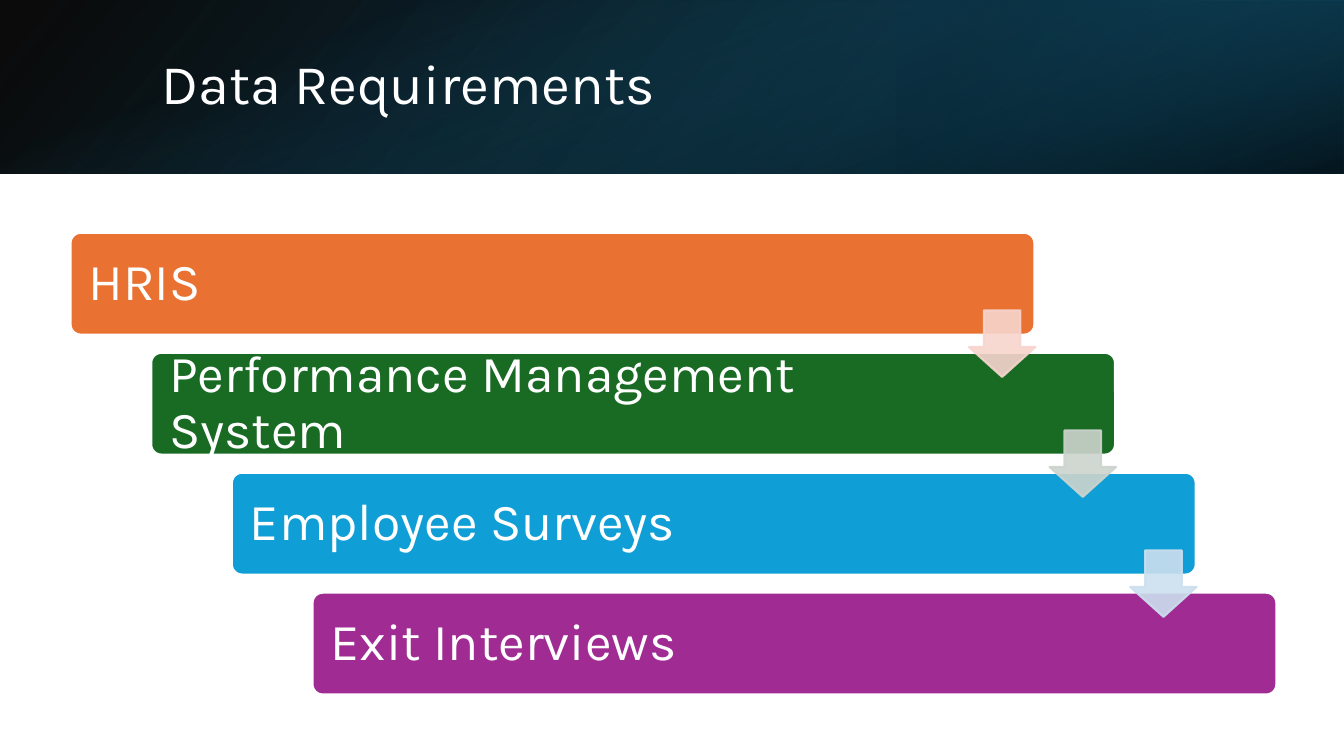
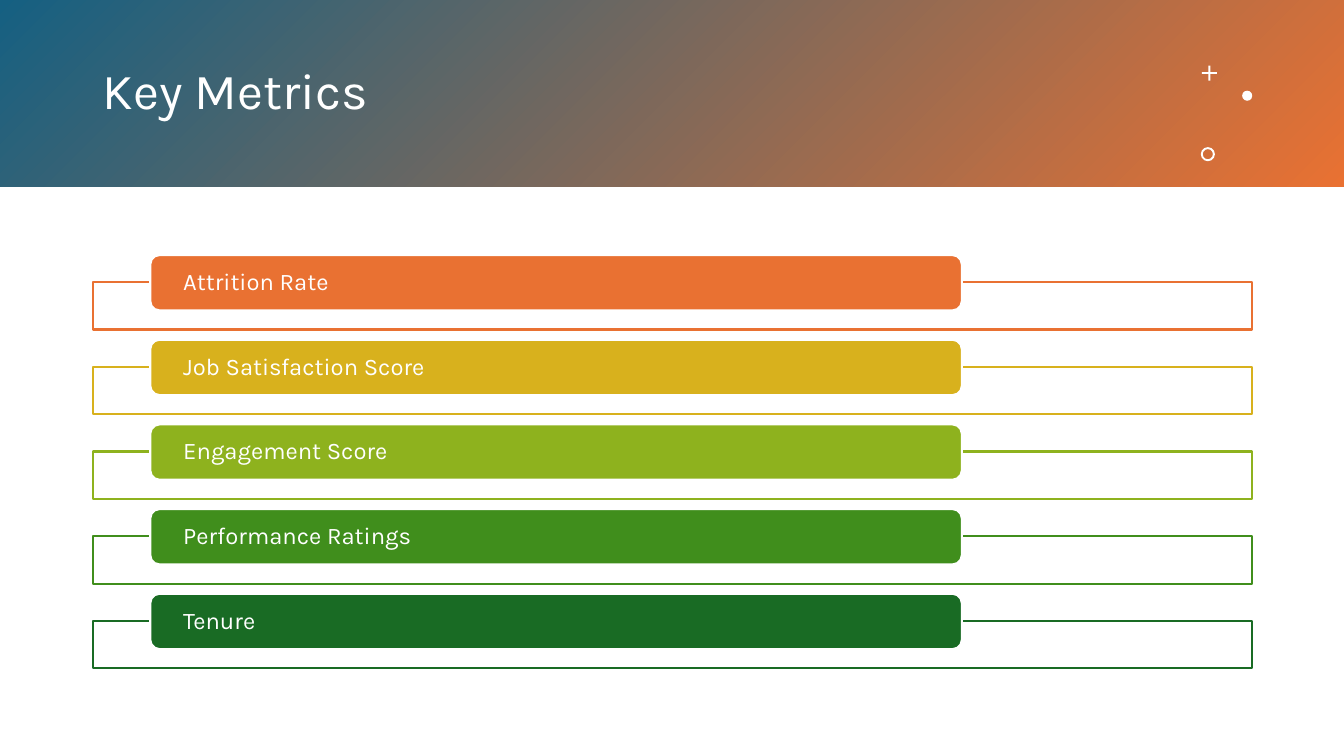
import dataclasses

import lxml.etree
import pptx
import pptx.dml.color
import pptx.enum.shapes
import pptx.enum.text
import pptx.oxml.ns
import pptx.util

Inches = pptx.util.Inches
Shape = pptx.enum.shapes.MSO_SHAPE
qn = pptx.oxml.ns.qn


@dataclasses.dataclass(frozen=True)
class Theme:
    font: str = "Karla"
    white: str = "FFFFFF"
    black: str = "000000"
    blue: str = "156082"
    deep_blue: str = "104862"
    night_blue: str = "0B3041"
    orange: str = "E97132"
    green: str = "196B24"
    sky: str = "0F9ED5"
    purple: str = "A02B93"
    gold: str = "D8B11D"
    lime: str = "8EB21E"
    leaf: str = "408E1C"
    pale_orange: str = "F7D5CE"
    pale_green: str = "CCD4CD"
    pale_sky: str = "CCDFEF"
    step_size: int = 37
    metric_size: int = 17
    line_width: float = 1.5
    line_spacing: float = 0.9


THEME = Theme()


def rgb(color):
    return pptx.dml.color.RGBColor.from_string(color)


def set_opacity(shape, percents):
    colors = shape.element.spPr.iter(qn("a:srgbClr"))
    for color, percent in zip(colors, percents):
        alpha = lxml.etree.SubElement(color, qn("a:alpha"))
        alpha.set("val", str(percent * 1000))


def add_block(slide, kind, box, fill=None, line=None, adjustments=()):
    block = slide.shapes.add_shape(kind, *map(Inches, box))
    block.shadow.inherit = False
    for index, value in enumerate(adjustments):
        block.adjustments[index] = value
    if fill:
        block.fill.solid()
        block.fill.fore_color.rgb = rgb(fill)
    if line:
        block.line.color.rgb = rgb(line)
        block.line.width = pptx.util.Pt(THEME.line_width)
    else:
        block.line.fill.background()
    return block


def add_band(slide, box, stops, angle, rotation=0, flip=False):
    band = add_block(slide, Shape.RECTANGLE, box)
    band.fill.gradient()
    band.fill.gradient_angle = 360 - angle
    for stop, (position, color, _) in zip(band.fill.gradient_stops, stops):
        stop.position = position / 100
        stop.color.rgb = rgb(color)
    set_opacity(band, [opacity for _, _, opacity in stops])
    band.rotation = rotation
    if flip:
        band.element.spPr.find(qn("a:xfrm")).set("flipH", "1")


def write(frame, text, size):
    frame.text = text
    frame.word_wrap = True
    frame.auto_size = pptx.enum.text.MSO_AUTO_SIZE.NONE
    frame.vertical_anchor = pptx.enum.text.MSO_ANCHOR.MIDDLE
    paragraph = frame.paragraphs[0]
    paragraph.alignment = pptx.enum.text.PP_ALIGN.LEFT
    paragraph.line_spacing = THEME.line_spacing
    paragraph.font.name = THEME.font
    paragraph.font.size = pptx.util.Pt(size)
    paragraph.font.color.rgb = rgb(THEME.white)


def add_title(slide, text, box, size):
    title = slide.shapes.title
    title.left, title.top, title.width, title.height = map(Inches, box)
    write(title.text_frame, text, size)
    title.element.getparent().append(title.element)


def add_bar(slide, text, box, color, size, corner, insets):
    bar = add_block(slide, Shape.ROUNDED_RECTANGLE, box, color, THEME.white, [corner])
    frame = bar.text_frame
    left, vertical, right = map(Inches, insets)
    frame.margin_left, frame.margin_right = left, right
    frame.margin_top = frame.margin_bottom = vertical
    write(frame, text, size)


def add_staircase(slide, steps, arrow_colors):
    left, top, shift, drop = 0.7, 2.31, 0.8, 1.19
    for index, (text, color) in enumerate(steps):
        box = left + index * shift, top + index * drop, 9.56, 1.01
        add_bar(slide, text, box, color, THEME.step_size, 0.1, (0.15, 0.15, 1.6))
    for index, color in enumerate(arrow_colors):
        box = left + 8.91 + index * shift, top + 0.77 + index * drop, 0.66, 0.66
        arrow = add_block(slide, Shape.DOWN_ARROW, box, color, color, (0.45, 0.55))
        arrow.adjustments[0], arrow.adjustments[1] = 0.55, 0.45
        set_opacity(arrow, (90, 90))


def add_metric_rows(slide, metrics):
    for index, (text, color) in enumerate(metrics):
        top = 2.53 + index * 0.84
        frame = add_block(slide, Shape.RECTANGLE, (0.92, top + 0.27, 11.5, 0.47),
                          THEME.white, color)
        set_opacity(frame, (90,))
        add_bar(slide, text, (1.49, top, 8.05, 0.55), color, THEME.metric_size,
                0.17, (0.3, 0, 0.3))


def add_ornaments(slide):
    ornaments = [
        (Shape.CROSS, (11.92, 0.65, 0.15, 0.15), [0.44]),
        (Shape.OVAL, (12.32, 0.9, 0.1, 0.1), []),
        (Shape.DONUT, (11.91, 1.46, 0.14, 0.14), [0.14]),
    ]
    for kind, box, adjustments in ornaments:
        add_block(slide, kind, box, THEME.white, adjustments=adjustments)


def build_data_requirements(slide):
    add_band(slide, (0, 0, 13.33, 1.72),
             [(0, THEME.black, 96), (100, THEME.deep_blue, 100)], 140, flip=True)
    add_band(slide, (8.89, 0, 4.44, 1.72),
             [(19, THEME.night_blue, 68), (100, THEME.blue, 79)], 320, 180, True)
    add_band(slide, (5.8, -5.8, 1.72, 13.33),
             [(23, THEME.blue, 0), (99, THEME.black, 74)], 340, 90)
    add_title(slide, "Data Requirements", (1.5, 0.38, 10.98, 0.96), 40)
    steps = [
        ("HRIS", THEME.orange),
        ("Performance Management System", THEME.green),
        ("Employee Surveys", THEME.sky),
        ("Exit Interviews", THEME.purple),
    ]
    add_staircase(slide, steps, (THEME.pale_orange, THEME.pale_green, THEME.pale_sky))


def build_key_metrics(slide):
    add_band(slide, (0, 0, 13.33, 1.85),
             [(0, THEME.blue, 100), (100, THEME.orange, 100)], 45)
    add_title(slide, "Key Metrics", (0.92, 0.33, 10.75, 1.19), 36)
    add_ornaments(slide)
    add_metric_rows(slide, [
        ("Attrition Rate", THEME.orange),
        ("Job Satisfaction Score", THEME.gold),
        ("Engagement Score", THEME.lime),
        ("Performance Ratings", THEME.leaf),
        ("Tenure", THEME.green),
    ])


def main():
    deck = pptx.Presentation()
    deck.slide_width, deck.slide_height = Inches(13.33), Inches(7.5)
    title_only = deck.slide_layouts[5]
    for build in (build_data_requirements, build_key_metrics):
        build(deck.slides.add_slide(title_only))
    deck.save("out.pptx")


if __name__ == "__main__":
    main()
